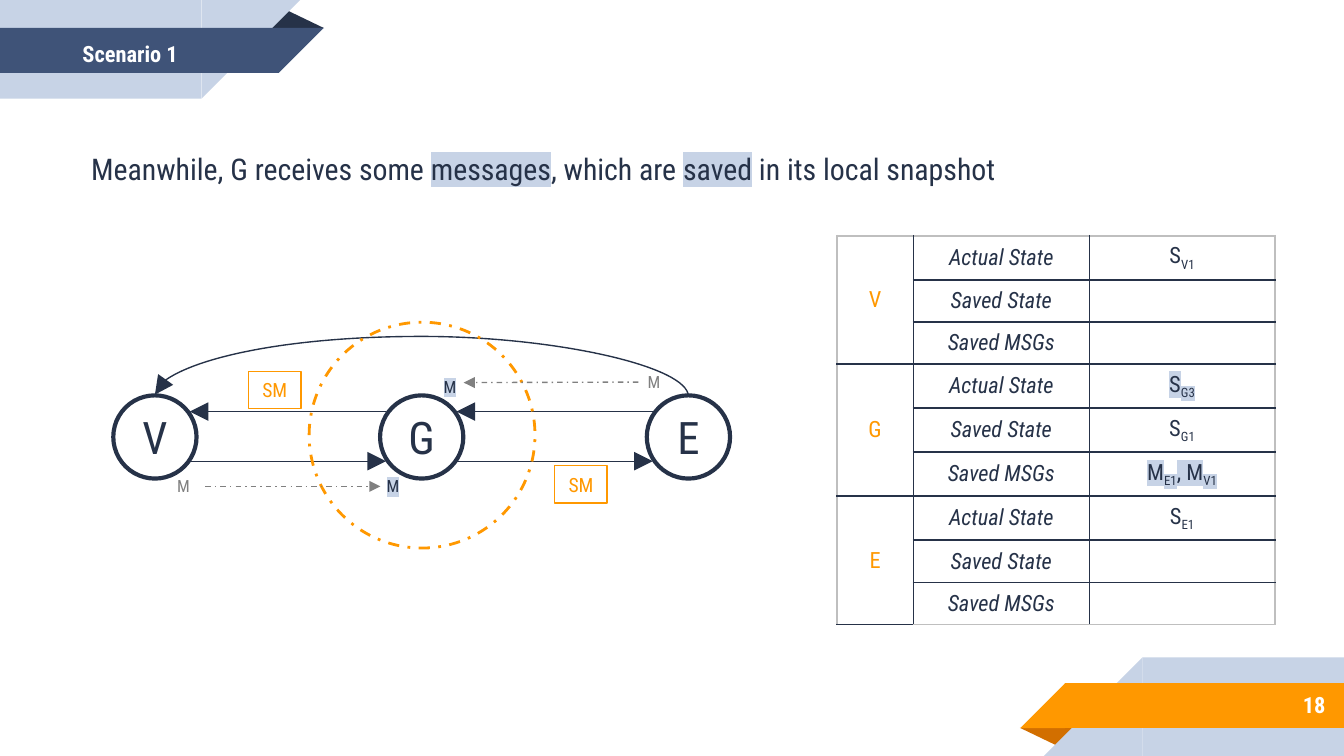
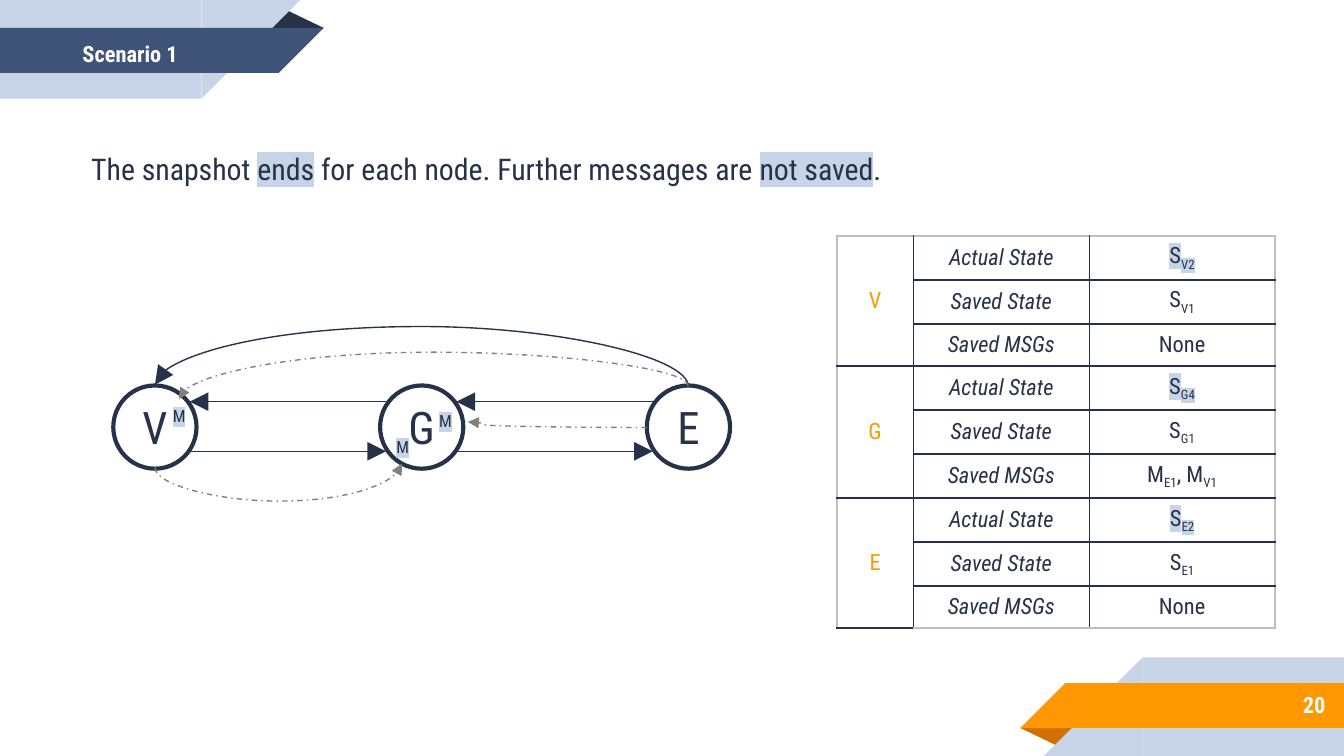
import pptx
import pptx.util
import pptx.dml.color
import pptx.enum.dml
import pptx.enum.shapes
import pptx.enum.text
import pptx.oxml.ns
from lxml import etree

Pt = pptx.util.Pt
SHAPE = pptx.enum.shapes.MSO_SHAPE
LINK = pptx.enum.shapes.MSO_CONNECTOR
ALIGN = pptx.enum.text.PP_ALIGN
MIDDLE = pptx.enum.text.MSO_ANCHOR.MIDDLE
qn = pptx.oxml.ns.qn

FONT = "Roboto Condensed"
NAVY, BLUE, PALE = "263248", "3F5378", "C7D3E6"
ORANGE, RUST, GREY, EDGE, WHITE = "FF9800", "D26F00", "808080", "BFBFBF", "FFFFFF"
WIDTH, HEIGHT = 720, 405

BAND = [
    (SHAPE.ISOSCELES_TRIANGLE, 142.6, 5, 31, 10.1, "fold"),
    (SHAPE.RECTANGLE, 0, 0, 108, 52.8, "pale"),
    (SHAPE.RIGHT_TRIANGLE, 108, 0, 52.8, 52.8, "pale"),
    (SHAPE.RECTANGLE, 0, 15, 149.5, 24, "strip"),
    (SHAPE.RIGHT_TRIANGLE, 149.4, 15, 24, 24, "strip"),
]
HEADER_COLORS = {"fold": NAVY, "pale": PALE, "strip": BLUE}
FOOTER_COLORS = {"fold": RUST, "pale": PALE, "strip": ORANGE}

NODES = ["V", "G", "E"]
NODE_LEFT, NODE_STEP, NODE_SIZE = 60.7, 142.9, 44.6
ROW_LABELS = ["Actual State", "Saved State", "Saved MSGs"]
COLUMNS = [41, 94.3, 99.4]
TABLE_LEFT, TABLE_TOP, ROW_HEIGHT = 448.3, 126.3, 22.6

# Run styles: h = highlighted, s = subscript.
SLIDES = [
    {
        "number": "18",
        "text": [("Meanwhile, G receives some ", ""), ("messages", "h"), (", which are ", ""),
                 ("saved", "h"), (" in its local snapshot", "")],
        "values": [
            [("S", ""), ("V1", "s")], [], [],
            [("S", "h"), ("G3", "hs")], [("S", ""), ("G1", "s")],
            [("M", "h"), ("E1", "hs"), (", M", "h"), ("V1", "hs")],
            [("S", ""), ("E1", "s")], [], [],
        ],
        "node_top": 211.8,
        "focus": [(165.6, 172.6, 121)],
        "markers": [(133.2, 198.9), (297.2, 249.5)],
        "messages": [(86.4, 251.3, ""), (198.7, 251.3, "h"), (229.2, 198, "h"), (338.4, 195.8, "")],
        "straight": [(110, 260.6, 203.8, 260.6), (342, 204.7, 248.4, 205)],
        "curved": [],
    },
    {
        "number": "20",
        "text": [("The snapshot ", ""), ("ends", "h"),
                 (" for each node. Further messages are ", ""), ("not saved", "h"), (".", "")],
        "values": [
            [("S", "h"), ("V2", "hs")], [("S", ""), ("V1", "s")], [("None", "")],
            [("S", "h"), ("G4", "hs")], [("S", ""), ("G1", "s")],
            [("M", ""), ("E1", "s"), (", M", ""), ("V1", "s")],
            [("S", "h"), ("E2", "hs")], [("S", ""), ("E1", "s")], [("None", "")],
        ],
        "node_top": 206.5,
        "focus": [],
        "markers": [],
        "messages": [(203.8, 230.4, "h"), (226.8, 216.7, "h"), (84.2, 213.8, "h")],
        "straight": [],
        "curved": [
            ((83, 250.6), (215.3, 248.4), "y", 268.4),
            ((346.5, 229), (250.6, 226), "x", 259.4),
            ((368.7, 206.6), (95.8, 213.8), "y", 188.7),
        ],
    },
]


def rgb(color):
    """Turn a hex string into a colour."""
    return pptx.dml.color.RGBColor.from_string(color)


def write(frame, runs, size, color, align=ALIGN.CENTER, bold=False, italic=False, wrap=True):
    """Fill a text frame with one paragraph of styled runs."""
    frame.word_wrap = wrap
    para = frame.paragraphs[0]
    para.alignment = align
    font = para.font
    font.name, font.size, font.bold, font.italic = FONT, Pt(size), bold, italic
    font.color.rgb = rgb(color)
    for text, style in runs:
        span = para.add_run()
        span.text = text
        props = span._r.get_or_add_rPr()
        if "s" in style:
            props.set("baseline", "-25000")
        if "h" in style:
            mark = etree.SubElement(props, qn("a:highlight"))
            etree.SubElement(mark, qn("a:srgbClr"), val=PALE)
    if not runs:
        etree.SubElement(para._p, qn("a:endParaRPr"), sz=str(size * 100))


def add_text(page, left, top, width, height, runs, size, color, **options):
    """Add a text box and return its frame."""
    box = page.shapes.add_textbox(Pt(left), Pt(top), Pt(width), Pt(height))
    write(box.text_frame, runs, size, color, **options)
    return box.text_frame


def add_figure(page, kind, left, top, width, height, fill=None, line=None, weight=0.75):
    """Add a flat preset shape with an optional fill and outline."""
    figure = page.shapes.add_shape(kind, Pt(left), Pt(top), Pt(width), Pt(height))
    figure.shadow.inherit = False
    if fill:
        figure.fill.solid()
        figure.fill.fore_color.rgb = rgb(fill)
    else:
        figure.fill.background()
    if line:
        figure.line.color.rgb = rgb(line)
        figure.line.width = Pt(weight)
    else:
        figure.line.fill.background()
    return figure


def add_band(page, colors, footer):
    """Draw the folded ribbon, turned half round for the footer."""
    for kind, left, top, width, height, role in BAND:
        if footer:
            left, top = WIDTH - left - width, HEIGHT - top - height
        part = add_figure(page, kind, left, top, width, height, colors[role])
        if kind == SHAPE.ISOSCELES_TRIANGLE:
            part.adjustments[0] = 0.324
            part.rotation = 180 if footer else 0
        elif kind == SHAPE.RIGHT_TRIANGLE:
            part.element.spPr.xfrm.set("flipH" if footer else "flipV", "1")


def finish_arrow(arrow, message):
    """Style an arrow as a channel or as a dashed message."""
    arrow.line.color.rgb = rgb(GREY if message else NAVY)
    arrow.line.width = Pt(0.75)
    if message:
        arrow.line.dash_style = pptx.enum.dml.MSO_LINE.DASH_DOT
    size = "med" if message else "lg"
    etree.SubElement(arrow.line._ln, qn("a:tailEnd"), type="triangle", w=size, len=size)
    etree.SubElement(arrow.element.spPr, qn("a:effectLst"))


def add_arrow(page, x1, y1, x2, y2, message=False):
    """Draw a straight arrow."""
    arrow = page.shapes.add_connector(LINK.STRAIGHT, Pt(x1), Pt(y1), Pt(x2), Pt(y2))
    finish_arrow(arrow, message)


def add_curve(page, start, end, axis, via, message=False):
    """Draw a curved arrow that leaves along an axis and turns at via."""
    along = "xy".index(axis)
    sign = 1 if via > start[along] else -1
    run = sign * (end[along] - start[along])
    rise = sign * (end[1 - along] - start[1 - along])
    if axis == "y":
        rise = -rise
    turn = {("x", 1): 0, ("x", -1): 180, ("y", 1): 90, ("y", -1): 270}[axis, sign]
    width, height = abs(run), abs(rise)
    left = (start[0] + end[0] - width) / 2
    top = (start[1] + end[1] - height) / 2
    arrow = page.shapes.add_connector(
        LINK.CURVE, Pt(left), Pt(top), Pt(left + width), Pt(top + height))
    frame = arrow.element.spPr.xfrm
    frame.set("rot", str(turn * 60000))
    for name, length in (("flipH", run), ("flipV", rise)):
        if length < 0:
            frame.set(name, "1")
    ratio = (via - start[along]) / (end[along] - start[along])
    guides = arrow.element.spPr.find(qn("a:prstGeom")).get_or_add_avLst()
    etree.SubElement(guides, qn("a:gd"), name="adj1", fmla=f"val {round(ratio * 100000)}")
    finish_arrow(arrow, message)


def add_diagram(page, content):
    """Draw the nodes, their channels and the messages."""
    top = content["node_top"]
    lefts = [NODE_LEFT + NODE_STEP * index for index in range(len(NODES))]
    for left, right in zip(lefts, lefts[1:]):
        add_arrow(page, right + 3.2, top + 8.7, left + 41, top + 8.7)
        add_arrow(page, left + 41, top + 35.3, right + 3.2, top + 35.3)
    for name, left in zip(NODES, lefts):
        node = add_figure(page, SHAPE.OVAL, left, top, NODE_SIZE, NODE_SIZE, line=NAVY, weight=2.25)
        node.text_frame.vertical_anchor = MIDDLE
        write(node.text_frame, [(name, "")], 24, NAVY, wrap=False)
    half = NODE_SIZE / 2
    add_curve(page, (lefts[2] + half, top + 0.6), (lefts[0] + half, top - 0.4), "y", top - 31.8)
    for left, y, size in content["focus"]:
        ring = add_figure(page, SHAPE.OVAL, left, y, size, size, line=ORANGE, weight=1.5)
        ring.line.dash_style = pptx.enum.dml.MSO_LINE.DASH_DOT
    for left, y in content["markers"]:
        marker = add_figure(page, SHAPE.RECTANGLE, left, y, 28, 20, line=ORANGE)
        write(marker.text_frame, [("SM", "")], 10.5, ORANGE, wrap=False)
    for points in content["straight"]:
        add_arrow(page, *points, message=True)
    for curve in content["curved"]:
        add_curve(page, *curve, message=True)
    for left, y, style in content["messages"]:
        add_text(page, left, y, 23.8, 18, [("M", style)], 9, NAVY if style else GREY, wrap=False)


def set_borders(cell, colors):
    """Give a cell its left, right, top and bottom lines."""
    props = cell._tc.get_or_add_tcPr()
    for side, color in zip("LRTB", colors):
        line = etree.SubElement(props, qn(f"a:ln{side}"), w=str(Pt(1)))
        fill = etree.SubElement(line, qn("a:solidFill"))
        etree.SubElement(fill, qn("a:srgbClr"), val=color)


def add_states(page, values):
    """Build the table of node states."""
    count = len(values)
    table = page.shapes.add_table(
        count, len(COLUMNS), Pt(TABLE_LEFT), Pt(TABLE_TOP),
        Pt(sum(COLUMNS)), Pt(ROW_HEIGHT * count)).table
    table.first_row = table.horz_banding = False
    for column, width in zip(table.columns, COLUMNS):
        column.width = Pt(width)
    group = len(ROW_LABELS)
    for row, value in enumerate(values):
        table.rows[row].height = Pt(ROW_HEIGHT)
        name = [(NODES[row // group], "")] if row % group == 0 else []
        label = [(ROW_LABELS[row % group], "")]
        for column, runs in enumerate([name, label, value]):
            cell = table.cell(row, column)
            outer = (column == 0, column == len(COLUMNS) - 1, row == 0, row == count - 1)
            set_borders(cell, [EDGE if flag else NAVY for flag in outer])
            cell.fill.background()
            cell.vertical_anchor = MIDDLE
            write(cell.text_frame, runs, 12, NAVY if column else ORANGE, italic=column == 1)
    for row in range(0, count, group):
        table.cell(row, 0).merge(table.cell(row + group - 1, 0))


def set_label(frame):
    """Centre a ribbon label vertically with even insets."""
    frame.auto_size = pptx.enum.text.MSO_AUTO_SIZE.NONE
    frame.vertical_anchor = MIDDLE
    frame.margin_left = frame.margin_right = frame.margin_top = frame.margin_bottom = Pt(7.2)


def add_page(deck, content):
    """Build one scenario slide."""
    page = deck.slides.add_slide(deck.slide_layouts[5])
    add_band(page, HEADER_COLORS, False)
    add_band(page, FOOTER_COLORS, True)
    title = page.shapes.title
    page.shapes.element.append(title.element)
    title.left, title.top, title.width, title.height = Pt(-8), Pt(16.6), Pt(155.5), Pt(23.8)
    write(title.text_frame, [("Scenario 1", "")], 12, WHITE, bold=True)
    set_label(title.text_frame)
    set_label(add_text(page, 599.8, 365, 117.4, 25.2, [(content["number"], "")], 12, WHITE,
                       align=ALIGN.RIGHT, bold=True))
    add_text(page, 41.8, 77, 617, 26.6, content["text"], 16, NAVY, align=ALIGN.LEFT)
    add_states(page, content["values"])
    add_diagram(page, content)


def main():
    """Create the deck."""
    deck = pptx.Presentation()
    deck.slide_width, deck.slide_height = Pt(WIDTH), Pt(HEIGHT)
    for content in SLIDES:
        add_page(deck, content)
    deck.save("out.pptx")


if __name__ == "__main__":
    main()
